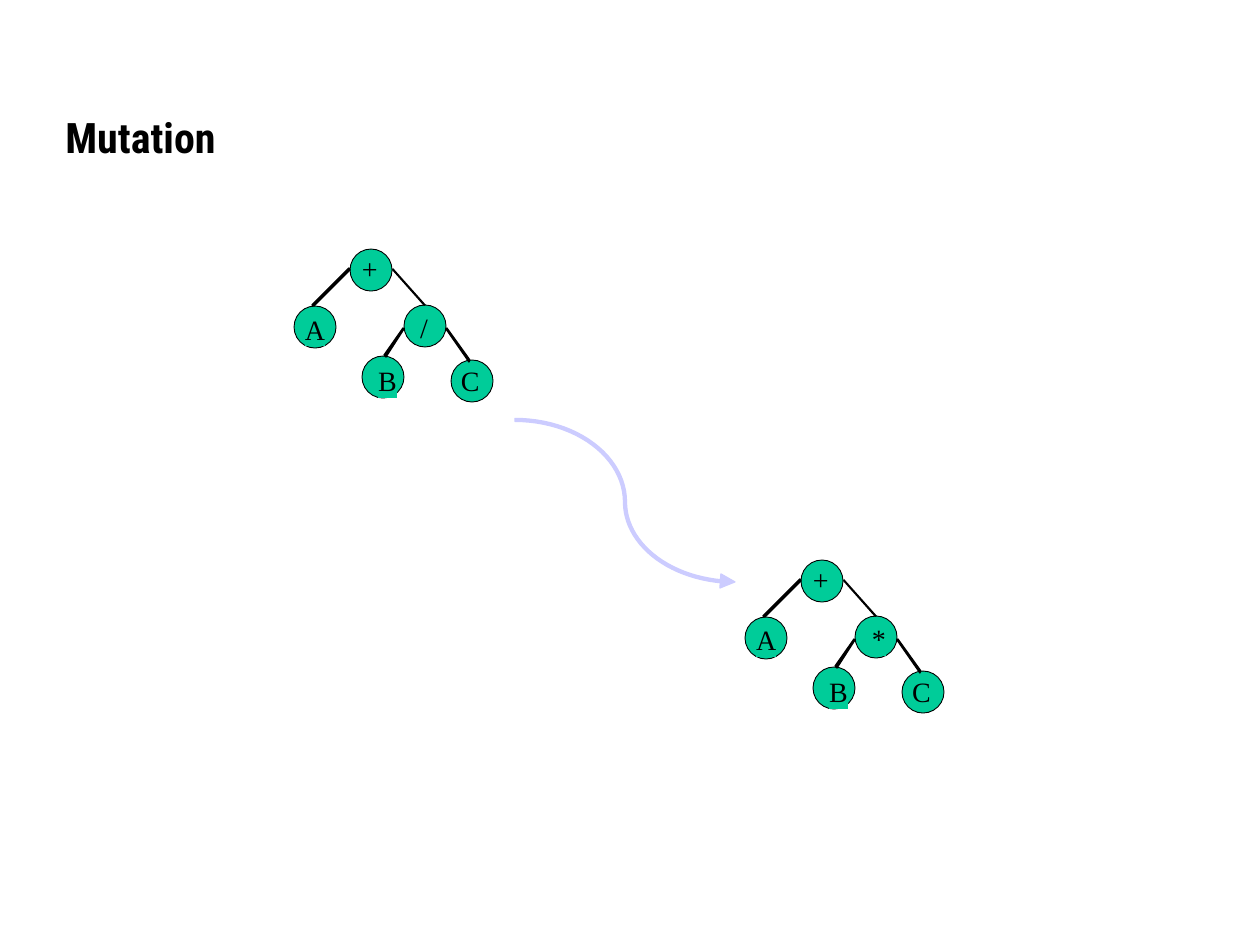
import math

from pptx import Presentation
from pptx import util as u
from pptx.dml.color import RGBColor
from pptx.enum import shapes, text

PX = u.Inches(1) / 126
GREEN, BLACK, LILAC = "00CC99", "000000", "CCCCFF"
NODE, LABEL_H = 42, 34


def paint(shape, fill, line=None, width=0.75):
    shape.shadow.inherit = False
    shape.fill.solid()
    shape.fill.fore_color.rgb = RGBColor.from_string(fill)
    if line:
        shape.line.color.rgb = RGBColor.from_string(line)
        shape.line.width = u.Pt(width)
    else:
        shape.line.fill.background()


def polygon(parent, points, fill, line=None):
    pts = [(round(x * PX), round(y * PX)) for x, y in points]
    builder = parent.build_freeform(*pts[0])
    builder.add_line_segments(pts[1:], close=True)
    paint(builder.convert_to_shape(), fill, line)


prs = Presentation()
prs.slide_width, prs.slide_height = u.Inches(10), u.Inches(7.5)
s = prs.slides.add_slide(prs.slide_layouts[6])

# Title
title = s.shapes.add_textbox(*[round(v * PX) for v in (53, 105, 924, 63)])
tf = title.text_frame
tf.word_wrap = True
tf.auto_size = text.MSO_AUTO_SIZE.SHAPE_TO_FIT_TEXT
p = tf.paragraphs[0]
p.space_before = u.Pt(15)
r = p.add_run()
r.text = "Mutation"
for key, value in {"name": "Roboto Condensed", "size": u.Pt(24), "bold": True}.items():
    setattr(r.font, key, value)
r.font.color.rgb = RGBColor.from_string(BLACK)

# Trees: the second differs only in its lower operator
nodes = [(350, 249), (294, 306), (404, 305), (362, 356), (451, 360)]
edges = [  # corners, outline
    ([(350, 270), (349, 268), (312, 305), (314, 306)], BLACK),
    ([(393, 268), (392, 270), (424, 306), (426, 305)], None),
    ([(404, 329), (403, 328), (384, 355), (386, 357)], BLACK),
    ([(447, 328), (446, 329), (469, 362), (470, 360)], BLACK),
]
labels = [("+", 362, 252, 16), ("A", 305, 312, 20), ("B", 378, 364, 19), ("C", 461, 364, 19)]
trees = [(0, 0, ("/", 420, 311, 8)), (451, 311, ("*", 421, 311, 14))]

for dx, dy, operator in trees:
    tree = s.shapes.add_group_shape().shapes
    for x, y in nodes:
        box = [round(v * PX) for v in (x + dx, y + dy, NODE, NODE)]
        paint(tree.add_shape(shapes.MSO_SHAPE.OVAL, *box), GREEN, BLACK, 0.5)
    for label, x, y, w in labels + [operator]:
        box = [round(v * PX) for v in (x + dx, y + dy, w, LABEL_H)]
        sp = tree.add_shape(shapes.MSO_SHAPE.RECTANGLE, *box)
        paint(sp, GREEN)
        tf = sp.text_frame
        frame = {"margin_left": 0, "margin_top": 0, "margin_right": 0, "margin_bottom": 0,
                 "word_wrap": False, "vertical_anchor": text.MSO_ANCHOR.TOP,
                 "auto_size": text.MSO_AUTO_SIZE.SHAPE_TO_FIT_TEXT}
        for key, value in frame.items():
            setattr(tf, key, value)
        p = tf.paragraphs[0]
        p.alignment = text.PP_ALIGN.LEFT
        r = p.add_run()
        r.text = label
        r.font.name, r.font.size = "Times New Roman", u.Pt(16)
        r.font.color.rgb = RGBColor.from_string(BLACK)
    for corners, outline in edges:
        polygon(tree, [(x + dx, y + dy) for x, y in corners], BLACK, outline)

# Curved arrow: a ribbon around two elliptical quarter arcs, then its head
upper, lower = [], []
for cx, rx, ry, start, end in [(515, 110, 82, -90, 0), (735, 110, 80, 180, 97)]:
    for i in range(25):
        a = math.radians(start + (end - start) * i / 24)
        x, y = cx + rx * math.cos(a), 502 + ry * math.sin(a)
        turn = 1 if end > start else -1
        tx, ty = -turn * rx * math.sin(a), turn * ry * math.cos(a)
        nx, ny = 1.5 * ty / math.hypot(tx, ty), -1.5 * tx / math.hypot(tx, ty)
        upper.append((x + nx, y + ny))
        lower.append((x - nx, y - ny))
polygon(s.shapes, upper + lower[::-1], LILAC, LILAC)
polygon(s.shapes, [(720, 588), (735, 582), (721, 574)], LILAC, LILAC)

prs.save("out.pptx")
